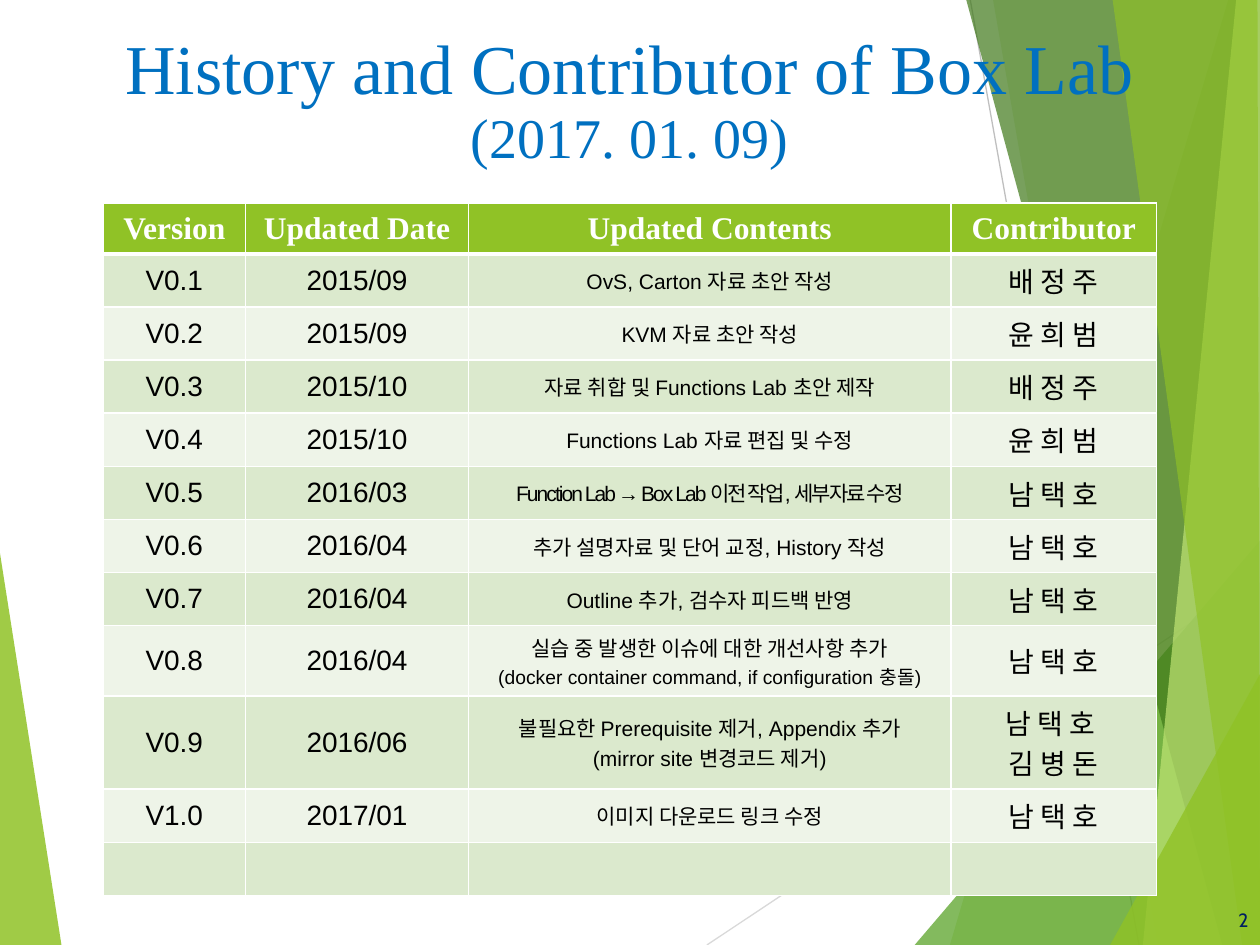
from lxml.etree import SubElement as Sub
from pptx import Presentation
from pptx.dml.color import RGBColor
from pptx.enum.shapes import MSO_CONNECTOR as Link
from pptx.enum.text import MSO_ANCHOR as Anchor, PP_ALIGN as Align
from pptx.oxml.ns import qn
from pptx.util import Cm, Pt


def paint(fill, tone):
    fill.solid()
    fill.fore_color.rgb = RGBColor.from_string(tone)


def write(para, text, size, face, tone, bold=False, side=Align.CENTER):
    para.alignment = side
    run = para.add_run()
    run.text = text
    run.font.size = Pt(size)
    run.font.name = face
    run.font.bold = bold
    paint(run.font.fill, tone)
    return run


deck = Presentation()
deck.slide_width, deck.slide_height = Cm(25.4), Cm(19.05)
slide = deck.slides.add_slide(deck.slide_layouts[6])
shapes = slide.shapes

lines = [
    (14.25, 19.05, 25.43, 11.61, "D9D9D9"),
    (19.56, 0, 22.96, 19.05, "BFBFBF"),
]
facets = [
    ("90C226", 85, [(0, 11.15), (1.24, 19.05), (0, 19.05)]),
    ("90C226", 30, [(24.76, 0), (19.15, 19.05), (25.4, 19.05), (25.4, 0)]),
    ("90C226", 20, [(20.02, 0), (23.34, 19.05), (25.4, 19.05), (25.4, 0)]),
    ("54A021", 72, [(18.44, 19.05), (25.4, 10.9), (25.4, 19.05)]),
    ("3F7819", 70, [(19.48, 0), (24.64, 19.05), (25.4, 19.05), (25.4, 0)]),
    ("C0E474", 70, [(24.92, 0), (23.04, 19.05), (25.4, 19.05), (25.4, 0)]),
    ("90C226", 65, [(22.43, 0), (25.04, 19.05), (25.4, 19.05), (25.35, 0)]),
    ("90C226", 80, [(22.38, 19.05), (25.4, 13.59), (25.4, 19.05)]),
]

for x1, y1, x2, y2, tone in lines:
    line = shapes.add_connector(Link.STRAIGHT, Cm(x1), Cm(y1), Cm(x2), Cm(y2))
    line.line.width = Pt(0.75)
    paint(line.line.fill, tone)
    Sub(line._element.spPr, qn("a:effectLst"))

for tone, alpha, points in facets:
    spots = [(Cm(x), Cm(y)) for x, y in points]
    pen = shapes.build_freeform(*spots[0])
    pen.add_line_segments(spots[1:], close=True)
    facet = pen.convert_to_shape()
    facet.shadow.inherit = False
    facet.line.fill.background()
    paint(facet.fill, tone)
    shade = facet._element.spPr.find(qn("a:solidFill"))[0]
    Sub(shade, qn("a:alpha"), val=str(alpha * 1000))

title = shapes.add_textbox(Cm(1.12), Cm(0.89), Cm(23.14), Cm(2.34)).text_frame
title.word_wrap = True
title.vertical_anchor = Anchor.MIDDLE
heads = [("History and Contributor of Box Lab", 40), ("(2017. 01. 09)", 32)]
for i, (text, size) in enumerate(heads):
    para = title.add_paragraph() if i else title.paragraphs[0]
    para.line_spacing = 0.9
    write(para, text, size, "Times New Roman", "0070C0")

rows = [
    ("Version", "Updated Date", "Updated Contents", "Contributor"),
    ("V0.1", "2015/09", "OvS, Carton 자료 초안 작성", "배 정 주"),
    ("V0.2", "2015/09", "KVM 자료 초안 작성", "윤 희 범"),
    ("V0.3", "2015/10", "자료 취합 및 Functions Lab 초안 제작", "배 정 주"),
    ("V0.4", "2015/10", "Functions Lab 자료 편집 및 수정", "윤 희 범"),
    ("V0.5", "2016/03", "Function Lab → Box Lab 이전 작업, 세부자료 수정", "남 택 호"),
    ("V0.6", "2016/04", "추가 설명자료 및 단어 교정, History 작성", "남 택 호"),
    ("V0.7", "2016/04", "Outline 추가, 검수자 피드백 반영", "남 택 호"),
    ("V0.8", "2016/04", "실습 중 발생한 이슈에 대한 개선사항 추가\n"
     "(docker container command, if configuration 충돌)", "남 택 호"),
    ("V0.9", "2016/06", "불필요한 Prerequisite 제거, Appendix 추가\n"
     "(mirror site 변경코드 제거)", "남 택 호 \n김 병 돈"),
    ("V1.0", "2017/01", "이미지 다운로드 링크 수정", "남 택 호"),
    ("", "", "", ""),
]
wides = [1.13, 1.77, 3.83, 1.63]
talls = {0: 1.03, 8: 1.42, 9: 1.88}
table = shapes.add_table(len(rows), 4, Cm(2.08), Cm(4.09), Cm(21.26), Cm(13.96)).table
for col, wide in zip(table.columns, wides):
    col.width = Cm(wide * 2.54)

for r, row in enumerate(rows):
    table.rows[r].height = Cm(talls.get(r, 1.07))
    for c, words in enumerate(row):
        cell = table.cell(r, c)
        cell.vertical_anchor = Anchor.MIDDLE
        for edge in "LRTB":
            thick = (r, edge) in [(0, "B"), (1, "T")]
            rule = Sub(cell._tc.get_or_add_tcPr(), qn("a:ln" + edge),
                       w=str(Pt(3 if thick else 1)))
            Sub(Sub(rule, qn("a:solidFill")), qn("a:srgbClr"), val="FFFFFF")
        paint(cell.fill, "90C226" if r == 0 else "DBE9CD" if r % 2 else "EEF4E8")
        if not words:
            continue
        for i, text in enumerate(words.split("\n")):
            para = cell.text_frame.add_paragraph() if i else cell.text_frame.paragraphs[0]
            if r == 0:
                write(para, text, 18, "Times New Roman", "FFFFFF", True)
                continue
            size = 16 if c != 2 else 11 if (r, i) == (8, 1) else 12
            run = write(para, text, size, "Arial", "000000")
            if (r, c) == (5, 2):
                run.font._element.set("spc", "-110")

page = shapes.add_textbox(Cm(24), Cm(18.03), Cm(1.42), Cm(1.02)).text_frame
page.word_wrap = True
page.vertical_anchor = Anchor.MIDDLE
write(page.paragraphs[0], "2", 11, "Cabin", "002060", side=Align.RIGHT)

deck.save("out.pptx")
